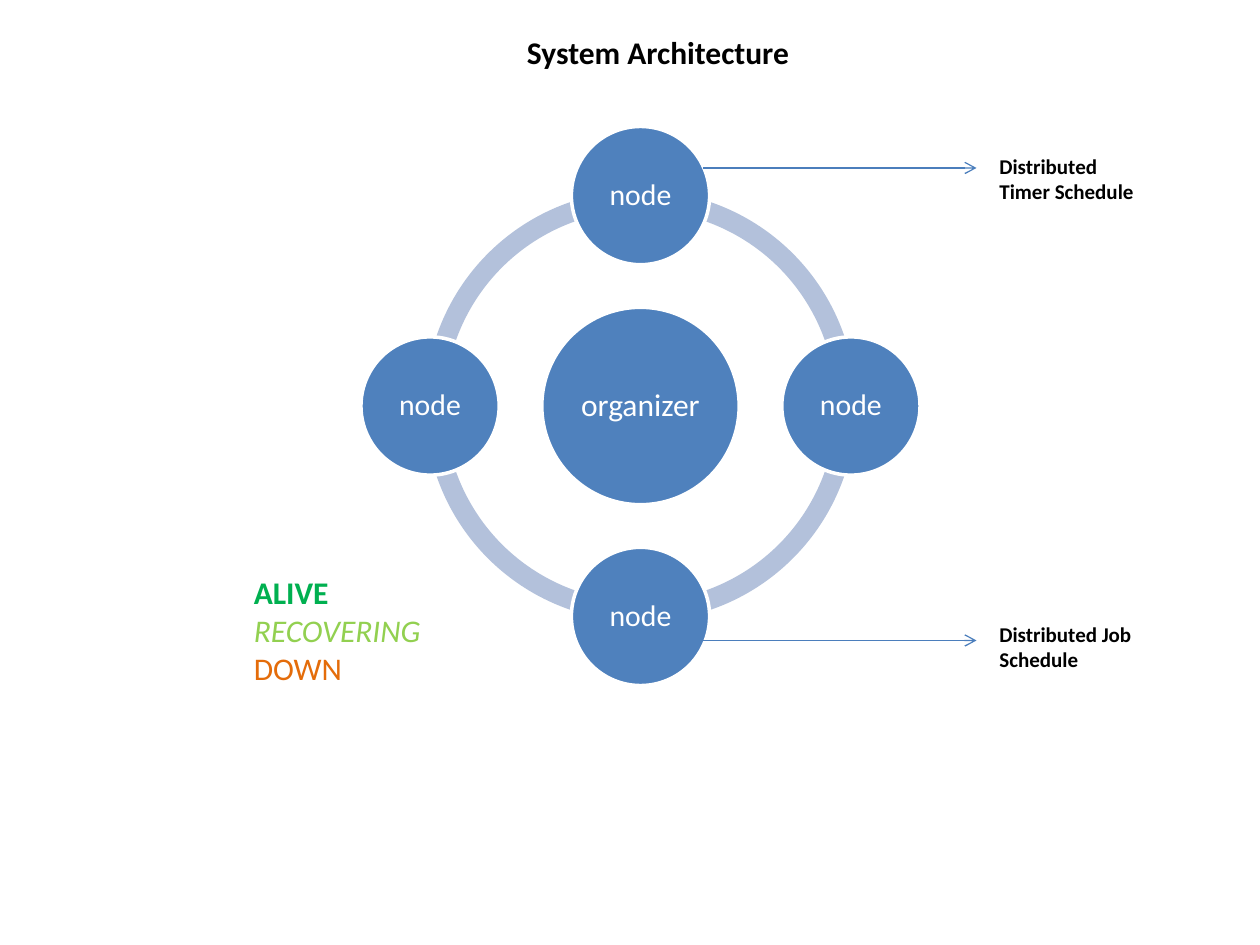
import math
from lxml import etree
from pptx import Presentation
from pptx import util as u
from pptx.dml.color import RGBColor
from pptx.enum import shapes, text
from pptx.oxml.ns import qn

WHITE = RGBColor(0xFF, 0xFF, 0xFF)
BLACK = RGBColor(0, 0, 0)
BLUE = RGBColor(0x4F, 0x81, 0xBD)
RING = RGBColor(0xB3, 0xC1, 0xDB)
ARROW = RGBColor(0x4B, 0x7E, 0xBC)
GREEN = RGBColor(0x00, 0xB0, 0x50)
LIME = RGBColor(0x92, 0xD0, 0x50)
ORANGE = RGBColor(0xE4, 0x6C, 0x0A)

CENTER_X, CENTER_Y = 366, 232
ORBIT = 120.24
RING_SIZE, HUB_SIZE, NODE_SIZE = 246.4, 112.8, 79


def write(paragraph, words, size=18, color=BLACK, bold=False, italic=False, font="Calibri"):
    run = paragraph.add_run()
    run.text = words
    run.font.name = font
    run.font.size = u.Pt(size)
    run.font.color.rgb = color
    run.font.bold = bold
    run.font.italic = italic


class Diagram:
    def __init__(self, slide):
        self.slide = slide

    def centered(self, kind, x, y, size, fill):
        shape = self.slide.shapes.add_shape(
            kind, u.Pt(x - size / 2), u.Pt(y - size / 2), u.Pt(size), u.Pt(size))
        shape.shadow.inherit = False
        shape.fill.solid()
        shape.fill.fore_color.rgb = fill
        return shape

    def arc(self, start, end):
        arc = self.centered(shapes.MSO_SHAPE.BLOCK_ARC, CENTER_X, CENTER_Y, RING_SIZE, RING)
        arc.line.fill.background()
        for index, value in enumerate((start, end, 0.046)):
            arc.adjustments[index] = value

    def circle(self, x, y, size, label, text_size, inset):
        circle = self.centered(shapes.MSO_SHAPE.OVAL, x, y, size, BLUE)
        circle.line.color.rgb = WHITE
        circle.line.width = u.Pt(2)
        frame = circle.text_frame
        frame.word_wrap = False
        frame.margin_left = frame.margin_right = u.Pt(inset)
        frame.margin_top = frame.margin_bottom = u.Pt(inset)
        frame.vertical_anchor = text.MSO_ANCHOR.MIDDLE
        paragraph = frame.paragraphs[0]
        paragraph.alignment = text.PP_ALIGN.CENTER
        paragraph.line_spacing = 0.9
        write(paragraph, label, size=text_size, color=WHITE)

    def note(self, x, y, width, height, lines):
        frame = self.slide.shapes.add_textbox(
            u.Pt(x), u.Pt(y), u.Pt(width), u.Pt(height)).text_frame
        frame.word_wrap = True
        for index, (words, style) in enumerate(lines):
            paragraph = frame.add_paragraph() if index else frame.paragraphs[0]
            write(paragraph, words, **style)

    def arrow(self, start, end, y):
        arrow = self.slide.shapes.add_connector(
            shapes.MSO_CONNECTOR.STRAIGHT, u.Pt(start), u.Pt(y), u.Pt(end), u.Pt(y))
        arrow.line.color.rgb = ARROW
        arrow.line.width = u.Pt(0.75)
        properties = arrow._element.spPr
        etree.SubElement(properties.find(qn("a:ln")), qn("a:tailEnd"), type="arrow")
        etree.SubElement(properties, qn("a:effectLst"))


def main():
    deck = Presentation()
    deck.slide_width, deck.slide_height = u.Pt(720), u.Pt(540)
    diagram = Diagram(deck.slides.add_slide(deck.slide_layouts[6]))

    quarter = 54
    for turn in (2, 1, 0, 3):
        diagram.arc(turn * quarter, (turn + 1) % 4 * quarter)

    diagram.circle(CENTER_X, CENTER_Y, HUB_SIZE, "organizer", 18, 2)
    for turn in range(4):
        angle = math.radians(90 * turn - 90)
        diagram.circle(CENTER_X + ORBIT * math.cos(angle),
                       CENTER_Y + ORBIT * math.sin(angle), NODE_SIZE, "node", 17, 1.5)

    diagram.note(294, 15.4, 264, 29, [("System Architecture", dict(bold=True))])
    for arrow_y, note_y, width, duty in (
            (96, 84, 96, "Distributed Timer Schedule"),
            (366, 351.5, 132, "Distributed Job Schedule")):
        diagram.arrow(402, 558, arrow_y)
        diagram.note(564, note_y, width, 36, [(duty, dict(size=12, bold=True))])
    diagram.note(138, 324, 138, 73, [
        ("ALIVE", dict(color=GREEN, bold=True)),
        ("RECOVERING", dict(color=LIME, italic=True)),
        ("DOWN", dict(color=ORANGE)),
    ])
    deck.save("out.pptx")


if __name__ == "__main__":
    main()
